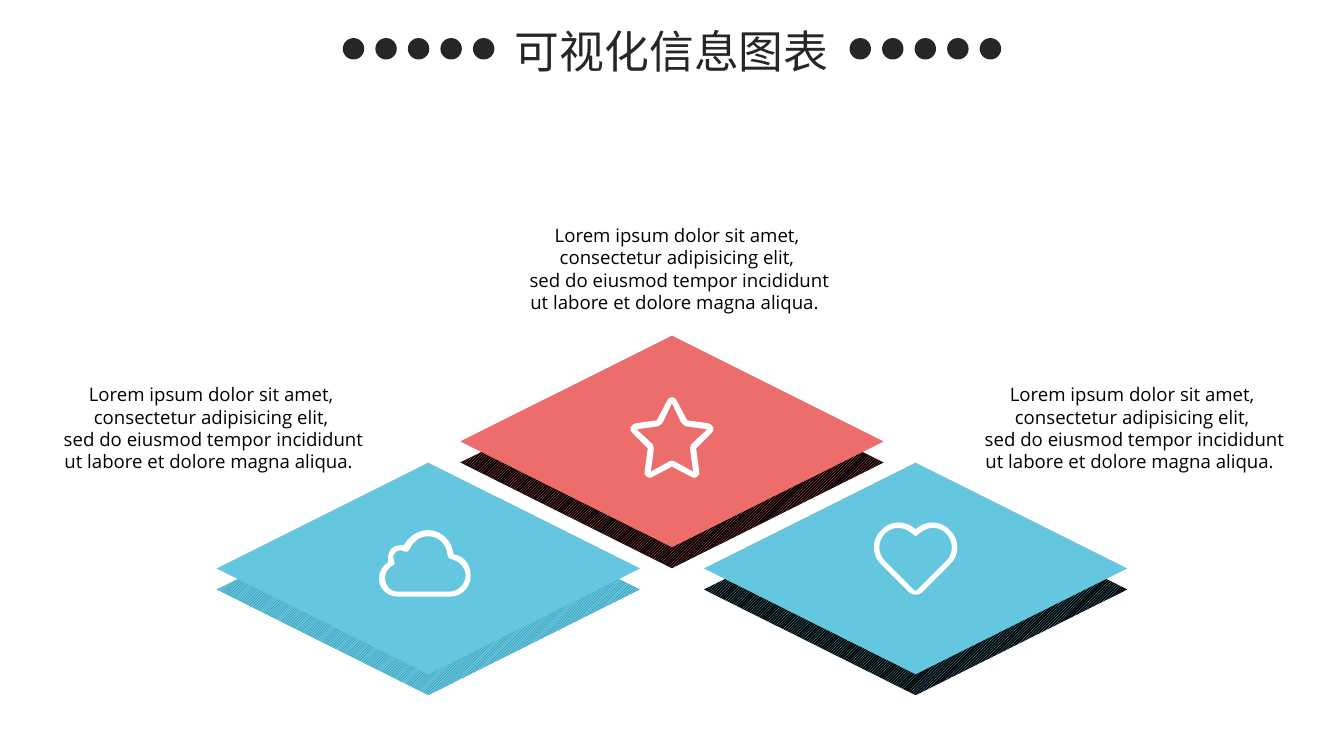
from lxml.etree import SubElement
from pptx import Presentation
from pptx.dml.color import RGBColor
from pptx.enum.dml import MSO_PATTERN
from pptx.enum.shapes import MSO_SHAPE as Preset
from pptx.enum.text import MSO_ANCHOR as Anchor, MSO_AUTO_SIZE as AutoSize, PP_ALIGN as Align
from pptx.oxml.ns import qn
from pptx.util import Cm, Pt

COLORS = {"ink": "262626", "black": "000000", "white": "FFFFFF",
          "blue": "64C6DF", "teal": "1C7086", "red": "EC6D6B"}
CAPTION = ["Lorem ipsum dolor sit amet, consectetur adipisicing elit,",
           " sed do eiusmod tempor incididunt ut labore et dolore magna aliqua. "]
TILE_W, TILE_H, TILE_DROP = 10.67, 5.33, 0.53
DOT_COUNT, DOT_SIZE, DOT_STEP = 5, 0.54, 0.82
ICON_UNIT = 0.0254  # cm per icon unit

# Icons: contours around the tile centre; 2 numbers draw a line, 6 a Bézier curve.
# Star and heart list their right half only, from top to bottom.
STAR = [
    [(0, -44), (2, -44, 5, -42, 5, -40), (15, -21), (36, -18),
     (38, -18, 40, -16, 41, -14), (42, -12, 41, -10, 39, -8), (24, 7), (27, 29),
     (28, 31, 27, 34, 25, 35), (24, 36, 23, 36, 21, 36), (21, 36, 20, 36, 19, 35),
     (0, 25)],
    [(0, -38), (9, -19), (10, -17, 12, -16, 14, -15), (35, -12), (19, 3),
     (18, 5, 18, 7, 18, 8), (21, 30), (3, 20), (2, 20, 1, 19, 0, 19)],
]
HEART = [
    [(0, -39), (10, -48, 25, -48, 34, -38), (44, -29, 44, -13, 34, -4), (6, 24),
     (4.5, 25.5, 2, 26, 0, 26)],
    [(0, -32), (4, -35), (12, -42, 23, -42, 30, -35), (38, -27, 38, -15, 30, -7),
     (2, 21), (1, 22, 0, 22, 0, 22)],
]
CLOUD = [
    [(25, -14), (24, -27, 13, -38, 0, -38), (-11, -38, -20, -31, -24, -23),
     (-25, -23, -26, -23, -28, -23), (-35, -23, -40, -18, -40, -11),
     (-40, -9, -40, -8, -40, -6), (-45, -3, -49, 3, -49, 10),
     (-49, 20, -41, 28, -30, 28), (21, 28), (33, 28, 42, 19, 42, 7),
     (42, -4, 35, -13, 25, -14)],
    [(21, 23), (-30, 23), (-38, 23, -43, 17, -43, 10), (-43, 5, -41, 1, -37, -2),
     (-33, -4, -33, -4, -34, -8), (-35, -9, -35, -10, -35, -11),
     (-35, -14, -32, -18, -28, -18), (-28, -18, -26, -18, -24, -17),
     (-20, -16, -20, -17, -18, -20), (-15, -27, -8, -32, 0, -32),
     (10, -32, 18, -24, 19, -14), (20, -10, 20, -10, 24, -9),
     (31, -7, 37, -1, 37, 7), (37, 15, 30, 23, 21, 23)],
]


def rgb(name):
    return RGBColor.from_string(COLORS[name])


def finish(shape, color, pattern_back=None):
    """Fill a shape solidly, or with diagonal stripes over pattern_back."""
    shape.shadow.inherit = False
    shape.line.fill.background()
    if pattern_back is None:
        shape.fill.solid()
    else:
        shape.fill.patterned()
        shape.fill.pattern = MSO_PATTERN.DARK_UPWARD_DIAGONAL
        shape.fill.back_color.rgb = rgb(pattern_back)
    shape.fill.fore_color.rgb = rgb(color)


def add_preset(page, preset, left, top, width, height, color, pattern_back=None):
    shape = page.shapes.add_shape(preset, Cm(left), Cm(top), Cm(width), Cm(height))
    finish(shape, color, pattern_back)


def add_text(page, lines, left, top, width, height, *, size, font, color,
             anchor=Anchor.TOP, auto_size=AutoSize.NONE):
    box = page.shapes.add_textbox(Cm(left), Cm(top), Cm(width), Cm(height))
    frame = box.text_frame
    frame.word_wrap = True
    frame.auto_size = auto_size
    frame.vertical_anchor = anchor
    for index, line in enumerate(lines):
        para = frame.add_paragraph() if index else frame.paragraphs[0]
        para.alignment = Align.CENTER
        span = para.add_run()
        span.text = line
        span.font.size = Pt(size)
        span.font.color.rgb = rgb(color)
        span.font.name = font
        SubElement(span.font._element, qn("a:ea"), typeface=font)


def split_segments(contour, mirrored):
    """Return the start point and, per segment, its list of 1 or 3 points."""
    start = contour[0]
    segments = [list(zip(part[::2], part[1::2])) for part in contour[1:]]
    if mirrored:
        starts = [start] + [segment[-1] for segment in segments]
        for segment, begin in list(zip(segments, starts))[::-1]:
            back = segment[-2::-1] + [begin]
            segments.append([(-x, y) for x, y in back])
    return start, segments


def add_icon(page, contours, center_x, center_y, mirrored):
    def place(point):
        x, y = point
        return Cm(center_x + x * ICON_UNIT), Cm(center_y + y * ICON_UNIT)

    builder, all_segments = None, []
    for contour in contours:
        start, segments = split_segments(contour, mirrored)
        if builder is None:
            builder = page.shapes.build_freeform(*place(start))
        else:
            builder.move_to(*place(start))
        builder.add_line_segments([place(p) for part in segments for p in part],
                                  close=True)
        all_segments += segments
    shape = builder.convert_to_shape()

    # Join each run of three points into one curve
    steps = iter(list(shape._element.iter(qn("a:lnTo"))))
    for segment in all_segments:
        first, *others = [next(steps) for _ in segment]
        if others:
            curve = SubElement(first.getparent(), qn("a:cubicBezTo"))
            first.addprevious(curve)
            for step in (first, *others):
                curve.append(step[0])
                step.getparent().remove(step)
    finish(shape, "white")


def add_header(page, left, top, width, height):
    """Title with a row of dots on each side."""
    add_text(page, ["可视化信息图表"], left, top, width, height, size=32,
             font="Noto Sans CJK SC", color="ink", anchor=Anchor.MIDDLE)
    for row_left in (left - 0.99, left + 11.78):
        for index in range(DOT_COUNT):
            add_preset(page, Preset.OVAL, row_left + index * DOT_STEP, top + 0.63,
                       DOT_SIZE, DOT_SIZE, "ink")


def add_tile(page, left, top, *, color, stripes, icon, mirrored, caption_offset):
    """Diamond over its striped lower layer, with icon and caption."""
    add_preset(page, Preset.DIAMOND, left, top + TILE_DROP, TILE_W, TILE_H, *stripes)
    add_preset(page, Preset.DIAMOND, left, top, TILE_W, TILE_H, color)
    add_icon(page, icon, left + TILE_W / 2, top + TILE_H / 2, mirrored)
    shift_x, shift_y = caption_offset
    add_text(page, CAPTION, left + shift_x, top + shift_y, 8.25, 2.54, size=13.3,
             font="Open Sans", color="black", auto_size=AutoSize.SHAPE_TO_FIT_TEXT)


def main():
    deck = Presentation()
    deck.slide_width, deck.slide_height = Cm(33.87), Cm(19.05)
    page = deck.slides.add_slide(deck.slide_layouts[6])

    add_header(page, 9.63, 0.33, 14.6, 1.9)

    # Tiles from left to right
    add_tile(page, 5.46, 11.66, color="blue", stripes=("teal", "blue"),
             icon=CLOUD, mirrored=False, caption_offset=(-4.26, -2.13))
    add_tile(page, 11.6, 8.46, color="red", stripes=("red", "black"),
             icon=STAR, mirrored=True, caption_offset=(1.34, -2.94))
    add_tile(page, 17.74, 11.66, color="blue", stripes=("blue", "black"),
             icon=HEART, mirrored=True, caption_offset=(6.67, -2.13))

    deck.save("out.pptx")


if __name__ == "__main__":
    main()
